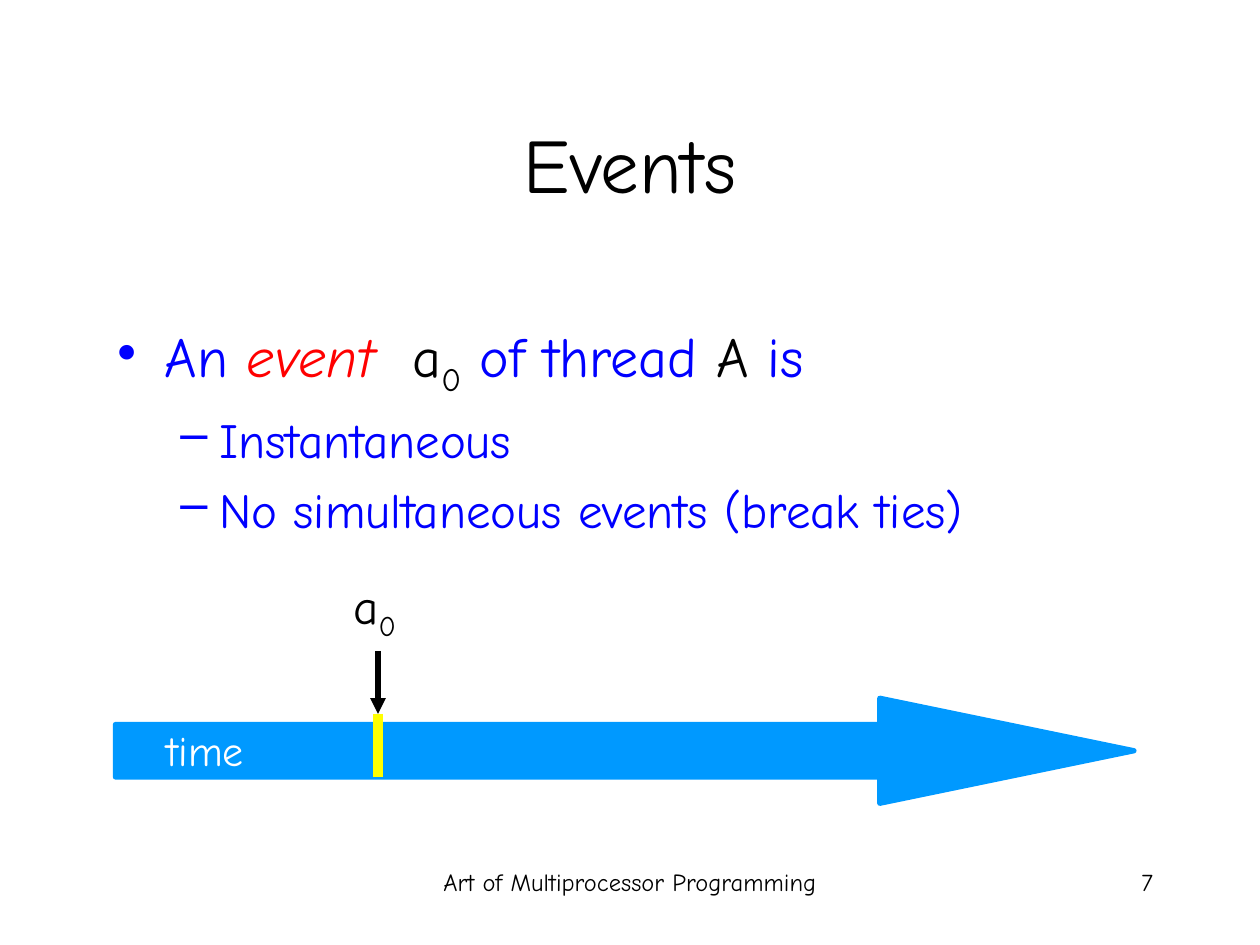
import dataclasses

import lxml.etree
import pptx
import pptx.dml.color
import pptx.enum.shapes
import pptx.enum.text
import pptx.oxml.ns
import pptx.util

ALIGN = pptx.enum.text.PP_ALIGN
ANCHOR = pptx.enum.text.MSO_ANCHOR
EMU_PER_PX = 7620


@dataclasses.dataclass(frozen=True)
class Theme:
    font: str = "Comic Neue"
    ink: str = "000000"
    body: str = "0000FF"
    accent: str = "FF0000"
    timeline: str = "0099FF"
    marker: str = "FFFF00"
    inverse: str = "FFFFFF"
    title_size: int = 44
    bullet_size: int = 32
    sub_bullet_size: int = 28
    label_size: int = 24
    footer_size: int = 14


THEME = Theme()


def px(length):
    return pptx.util.Emu(length * EMU_PER_PX)


def rgb(value):
    return pptx.dml.color.RGBColor.from_string(value)


def add_xml(parent, tag, **attributes):
    return lxml.etree.SubElement(parent, pptx.oxml.ns.qn(tag), attributes)


def write(paragraph, text, *, size, color=THEME.ink, italic=False, subscript=False):
    run = paragraph.add_run()
    run.text = text
    run.font.name = THEME.font
    run.font.size = pptx.util.Pt(size)
    run.font.color.rgb = rgb(color)
    run.font.italic = italic
    if subscript:
        run._r.get_or_add_rPr().set("baseline", "-25000")


def add_box(shapes, left, top, width, height, align=ALIGN.LEFT, wrap=True):
    frame = shapes.add_textbox(px(left), px(top), px(width), px(height)).text_frame
    frame.word_wrap = wrap
    if not wrap:
        frame.auto_size = pptx.enum.text.MSO_AUTO_SIZE.SHAPE_TO_FIT_TEXT
    paragraph = frame.paragraphs[0]
    paragraph.alignment = align
    return paragraph


def set_bullet(paragraph, mark, margin, hanging):
    properties = paragraph._p.get_or_add_pPr()
    properties.set("marL", str(px(margin)))
    properties.set("indent", str(px(-hanging)))
    add_xml(properties, "a:buChar", char=mark)


def add_line(shapes, x, top, bottom, color, width, arrow=False):
    line = shapes.add_connector(
        pptx.enum.shapes.MSO_CONNECTOR.STRAIGHT, px(x), px(top), px(x), px(bottom))
    line.line.color.rgb = rgb(color)
    line.line.width = pptx.util.Pt(width)
    if arrow:
        add_xml(line.line._get_or_add_ln(), "a:tailEnd", type="triangle")
    add_xml(line._element.spPr, "a:effectLst")


def add_title(slide):
    title = slide.shapes.title
    title.left, title.top, title.width, title.height = map(px, (90, 80, 1020, 150))
    title.text_frame.vertical_anchor = ANCHOR.MIDDLE
    heading = title.text_frame.paragraphs[0]
    heading.alignment = ALIGN.CENTER
    write(heading, "Events", size=THEME.title_size)


def add_bullets(shapes):
    definition = add_box(shapes, 100, 300, 1020, 430)
    set_bullet(definition, "•", 45, 45)
    for text, style in (
        ("An ", {"color": THEME.body}),
        ("event  ", {"color": THEME.accent, "italic": True}),
        ("a", {}),
        ("0", {"subscript": True}),
        (" of thread ", {"color": THEME.body}),
        ("A", {}),
        (" is", {"color": THEME.body}),
    ):
        write(definition, text, size=THEME.bullet_size, **style)

    for text in ("Instantaneous", "No simultaneous events (break ties)"):
        condition = definition._parent.add_paragraph()
        condition.level = 1
        condition.space_before = pptx.util.Pt(6.7)
        set_bullet(condition, "–", 97, 37)
        write(condition, text, size=THEME.sub_bullet_size, color=THEME.body)


def add_timeline(shapes):
    timeline = shapes.add_group_shape().shapes
    arrow = timeline.add_shape(
        pptx.enum.shapes.MSO_SHAPE.RIGHT_ARROW, px(110), px(665), px(970), px(100))
    arrow.adjustments[0] = 0.5
    arrow.adjustments[1] = 2.42
    arrow.shadow.inherit = False
    arrow.fill.solid()
    arrow.fill.fore_color.rgb = rgb(THEME.timeline)
    arrow.line.color.rgb = rgb(THEME.timeline)
    arrow.line.width = pptx.util.Pt(3)
    time_label = add_box(timeline, 137, 684, 107, 60, ALIGN.RIGHT, wrap=False)
    write(time_label, "time", size=THEME.label_size, color=THEME.inverse)


def add_event(shapes):
    add_line(shapes, 360, 620, 680, THEME.ink, 3, arrow=True)
    add_line(shapes, 360, 680, 740, THEME.marker, 6)
    event_label = add_box(shapes, 322, 542, 67, 68, ALIGN.RIGHT, wrap=False)
    write(event_label, "a", size=THEME.sub_bullet_size)
    write(event_label, "0", size=THEME.sub_bullet_size, subscript=True)


def add_footer(shapes):
    book = add_box(shapes, 410, 820, 380, 60, ALIGN.CENTER)
    write(book, "Art of Multiprocessor Programming", size=THEME.footer_size)
    page = add_box(shapes, 860, 820, 250, 60, ALIGN.RIGHT)
    write(page, "7", size=THEME.footer_size)


def main():
    deck = pptx.Presentation()
    deck.slide_width, deck.slide_height = px(1200), px(900)
    slide = deck.slides.add_slide(deck.slide_layouts[5])
    add_title(slide)
    add_footer(slide.shapes)
    add_timeline(slide.shapes)
    add_bullets(slide.shapes)
    add_event(slide.shapes)
    deck.save("out.pptx")


if __name__ == "__main__":
    main()
